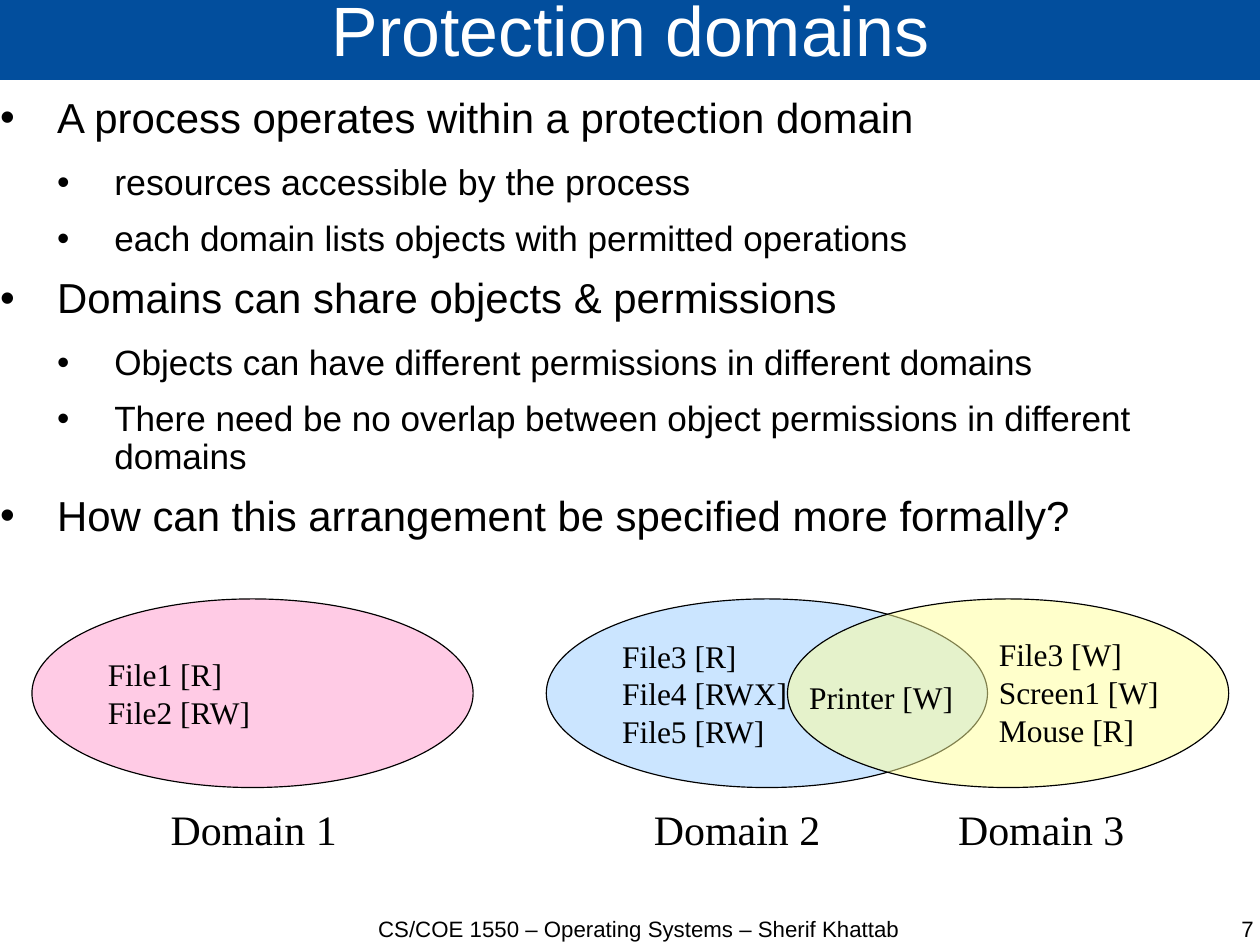
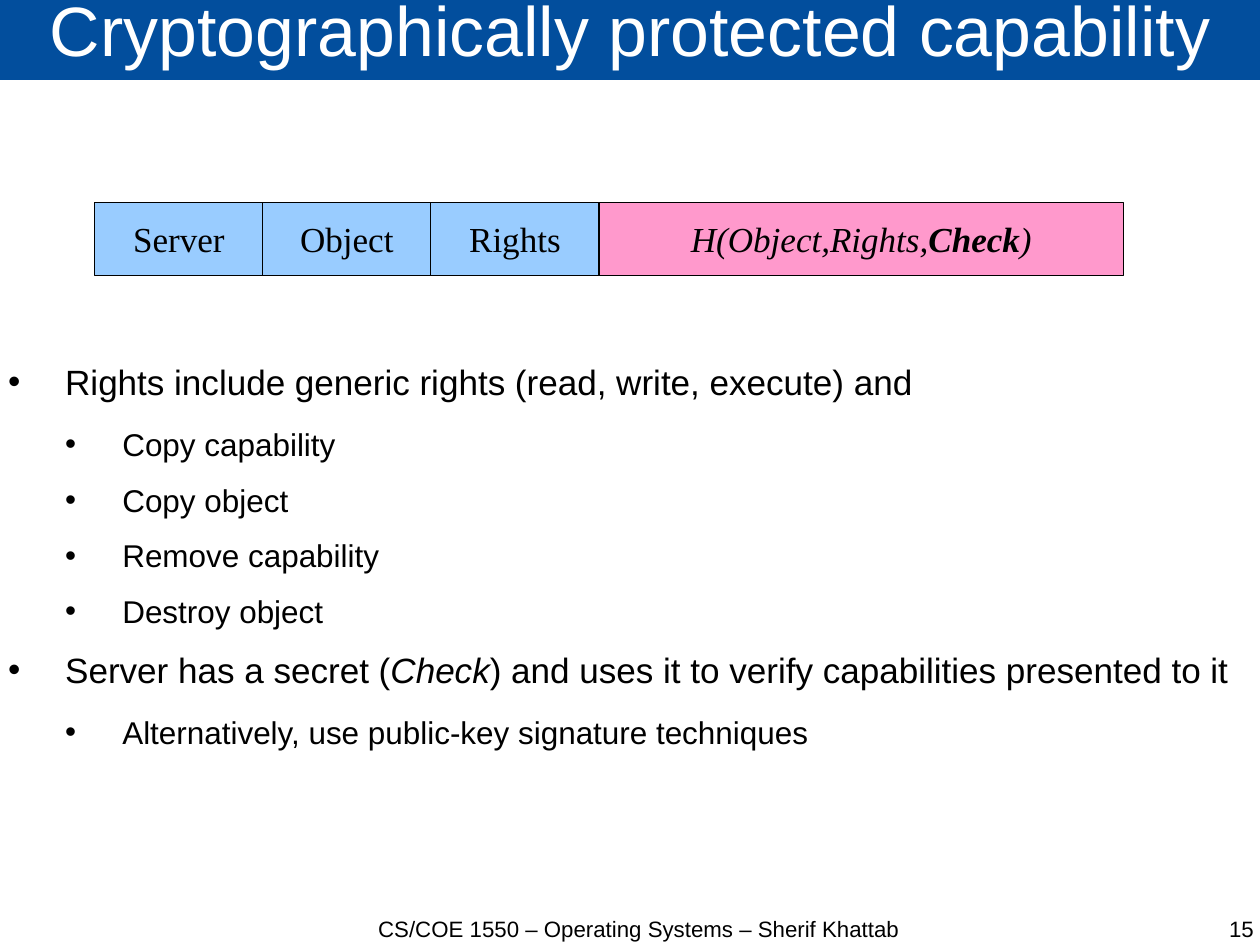
from dataclasses import dataclass

from lxml import etree
from pptx import Presentation
from pptx.dml.color import RGBColor
from pptx.enum.shapes import MSO_SHAPE
from pptx.enum.text import MSO_ANCHOR, MSO_AUTO_SIZE, PP_ALIGN
from pptx.oxml.ns import qn
from pptx.presentation import Presentation as Deck
from pptx.shapes.autoshape import Shape
from pptx.slide import Slide
from pptx.text.text import TextFrame
from pptx.util import Inches, Pt

LEFT, CENTER, RIGHT = PP_ALIGN.LEFT, PP_ALIGN.CENTER, PP_ALIGN.RIGHT
TOP, MIDDLE = MSO_ANCHOR.TOP, MSO_ANCHOR.MIDDLE
FIXED, GROW = MSO_AUTO_SIZE.NONE, MSO_AUTO_SIZE.SHAPE_TO_FIT_TEXT
RECT, OVAL = MSO_SHAPE.RECTANGLE, MSO_SHAPE.OVAL

NAVY, WHITE, BLACK = "024E9D", "FFFFFF", "000000"
PINK, BLUE, YELLOW = "FF99CC", "99CCFF", "FFFF99"
SANS, SERIF = "Arial", "Times New Roman"
FOOTER = "CS/COE 1550 – Operating Systems – Sherif Khattab"
WIDTH, HEIGHT = 28 / 2.54, 21 / 2.54
INDENT = 0.5
AFTER = (14.2, 11.4)


@dataclass(frozen=True)
class Box:
    left: float
    top: float
    width: float
    height: float


@dataclass(frozen=True)
class Item:
    text: str
    size: float
    level: int = 0


@dataclass(frozen=True)
class Domain:
    name: str
    left: float
    label: float
    fill: str
    files: str = ""


@dataclass(frozen=True)
class Field:
    text: str
    width: float
    fill: str
    slant: bool = False


def color(code: str) -> RGBColor:
    return RGBColor.from_string(code)


def place(shape: Shape, box: Box) -> None:
    shape.left, shape.top = Inches(box.left), Inches(box.top)
    shape.width, shape.height = Inches(box.width), Inches(box.height)


def setup(frame: TextFrame, anchor: MSO_ANCHOR = TOP, wrap: bool = True,
          fit: MSO_AUTO_SIZE = FIXED, inset: float = 0) -> None:
    frame.auto_size = fit
    frame.word_wrap = wrap
    frame.vertical_anchor = anchor
    frame.margin_left = frame.margin_right = Inches(inset)
    frame.margin_top = frame.margin_bottom = Inches(inset / 2)


def write(frame: TextFrame, text: str, *, size: float, font: str = SANS,
          ink: str = BLACK, align: PP_ALIGN = LEFT, slant: bool = False,
          mark: str = "bold", space: float = 1.0) -> None:
    for index, line in enumerate(text.split("\n")):
        para = frame.paragraphs[0]
        if index or para.runs:
            para = frame.add_paragraph()
        para.alignment = align
        para.line_spacing = space
        for turn, part in enumerate(line.split("*")):
            for row, words in enumerate(part.split("\v")):
                if row:
                    para.add_line_break()
                run = para.add_run()
                run.text = words
                run.font.name, run.font.size = font, Pt(size)
                run.font.color.rgb = color(ink)
                run.font.italic = slant
                if turn % 2:
                    setattr(run.font, mark, True)


def draw(slide: Slide, kind: MSO_SHAPE, box: Box, fill: str,
         alpha: int = 100) -> Shape:
    shape = slide.shapes.add_shape(kind, Inches(box.left), Inches(box.top),
                                   Inches(box.width), Inches(box.height))
    shape.shadow.inherit = False
    shape.fill.solid()
    shape.fill.fore_color.rgb = color(fill)
    if alpha < 100:
        tint = shape.element.spPr.find(f"{qn('a:solidFill')}/{qn('a:srgbClr')}")
        etree.SubElement(tint, qn("a:alpha"), val=str(alpha * 1000))
    shape.line.color.rgb = color(BLACK)
    shape.line.width = Pt(0.75)
    setup(shape.text_frame, MIDDLE, wrap=False, inset=0.1)
    return shape


def label(slide: Slide, text: str, box: Box, size: float, font: str = SERIF,
          align: PP_ALIGN = LEFT, tight: bool = True) -> None:
    shape = slide.shapes.add_textbox(Inches(box.left), Inches(box.top),
                                     Inches(box.width), Inches(box.height))
    if tight:
        setup(shape.text_frame, wrap=False, fit=GROW, inset=0.1)
    else:
        setup(shape.text_frame)
    write(shape.text_frame, text, size=size, font=font, align=align)


def start(deck: Deck, title: str, number: int) -> Slide:
    slide = deck.slides.add_slide(deck.slide_layouts[1])
    band = slide.shapes.title
    place(band, Box(0, -0.02, 11.04, 0.72))
    band.fill.solid()
    band.fill.fore_color.rgb = color(NAVY)
    setup(band.text_frame, MIDDLE)
    write(band.text_frame, title, size=44, ink=WHITE, align=CENTER, space=0.69)
    label(slide, FOOTER, Box(3.07, 8.01, 5.04, 0.55), 14, SANS, CENTER, False)
    label(slide, str(number), Box(8.44, 8.01, 2.53, 0.55), 14, SANS, RIGHT, False)
    return slide


def fill_list(slide: Slide, left: float, top: float, items: list[Item],
              space: float = 1.0) -> None:
    body = slide.placeholders[1]
    place(body, Box(left, top, 11.04, 7.12))
    frame = body.text_frame
    setup(frame)
    for item in items:
        write(frame, item.text, size=item.size, mark="italic", space=space)
        para = frame.paragraphs[-1]
        para.level = item.level
        para.space_before, para.space_after = Pt(0), Pt(AFTER[item.level])
        props = para._p.get_or_add_pPr()
        props.set("marL", str(Inches(INDENT * (item.level + 1))))
        props.set("indent", str(Inches(-INDENT)))
        tint = etree.SubElement(props, qn("a:buClr"))
        etree.SubElement(tint, qn("a:srgbClr"), val=BLACK)
        etree.SubElement(props, qn("a:buChar"), char="•")


def domains(deck: Deck) -> None:
    slide = start(deck, "Protection domains", 7)
    items = [
        Item("A process operates within a protection domain", 26.4),
        Item("resources accessible by the process", 22.5, 1),
        Item("each domain lists objects with permitted operations", 22.1, 1),
        Item("Domains can share objects & permissions", 26.4),
        Item("Objects can have different permissions in different domains", 22.1, 1),
        Item("There need be no overlap between object permissions in different domains",
             22.1, 1),
        Item("How can this arrangement be specified more formally?", 26.4),
    ]
    fill_list(slide, 0, 0.85, items, 0.9)
    group = [
        Domain("Domain 1", 0.28, 1.38, PINK, "File1 [R]\vFile2 [RW]"),
        Domain("Domain 2", 4.78, 5.61, BLUE, "File3 [R]\nFile4 [RWX]\nFile5 [RW]"),
        Domain("Domain 3", 6.89, 8.27, YELLOW),
    ]
    for domain in group:
        oval = draw(slide, OVAL, Box(domain.left, 5.24, 3.86, 1.65), domain.fill, 50)
        if domain.files:
            write(oval.text_frame, domain.files, size=19.8, font=SERIF)
    label(slide, "File3 [W]\nScreen1 [W]\nMouse [R]", Box(8.64, 5.51, 1.61, 1.1), 19.8)
    label(slide, "Printer [W]", Box(6.98, 5.88, 1.48, 0.43), 19.8)
    for domain in group:
        label(slide, domain.name, Box(domain.label, 6.98, 1.68, 0.55), 26.4,
              align=CENTER)


def crypto(deck: Deck) -> None:
    slide = start(deck, "Cryptographically protected capability", 15)
    items = [
        Item("Rights include generic rights (read, write, execute) and", 22.1),
        Item("Copy capability", 19.8, 1),
        Item("Copy object", 19.8, 1),
        Item("Remove capability", 19.8, 1),
        Item("Destroy object", 19.8, 1),
        Item("Server has a secret (*Check*) and uses it to verify capabilities"
             " presented to it", 22.1),
        Item("Alternatively, use public-key signature techniques", 19.8, 1),
    ]
    fill_list(slide, 0.07, 3.15, items)
    fields = [Field(name, 1.47, BLUE) for name in ("Server", "Object", "Rights")]
    fields.append(Field("H(Object,Rights,*Check*)", 4.59, PINK, True))
    left = 0.83
    for field in fields:
        cell = draw(slide, RECT, Box(left, 1.77, field.width, 0.64), field.fill)
        write(cell.text_frame, field.text, size=22.1, font=SERIF,
              align=CENTER, slant=field.slant)
        left += field.width


def main() -> None:
    deck = Presentation()
    deck.slide_width, deck.slide_height = Inches(WIDTH), Inches(HEIGHT)
    domains(deck)
    crypto(deck)
    deck.save("out.pptx")


if __name__ == "__main__":
    main()
